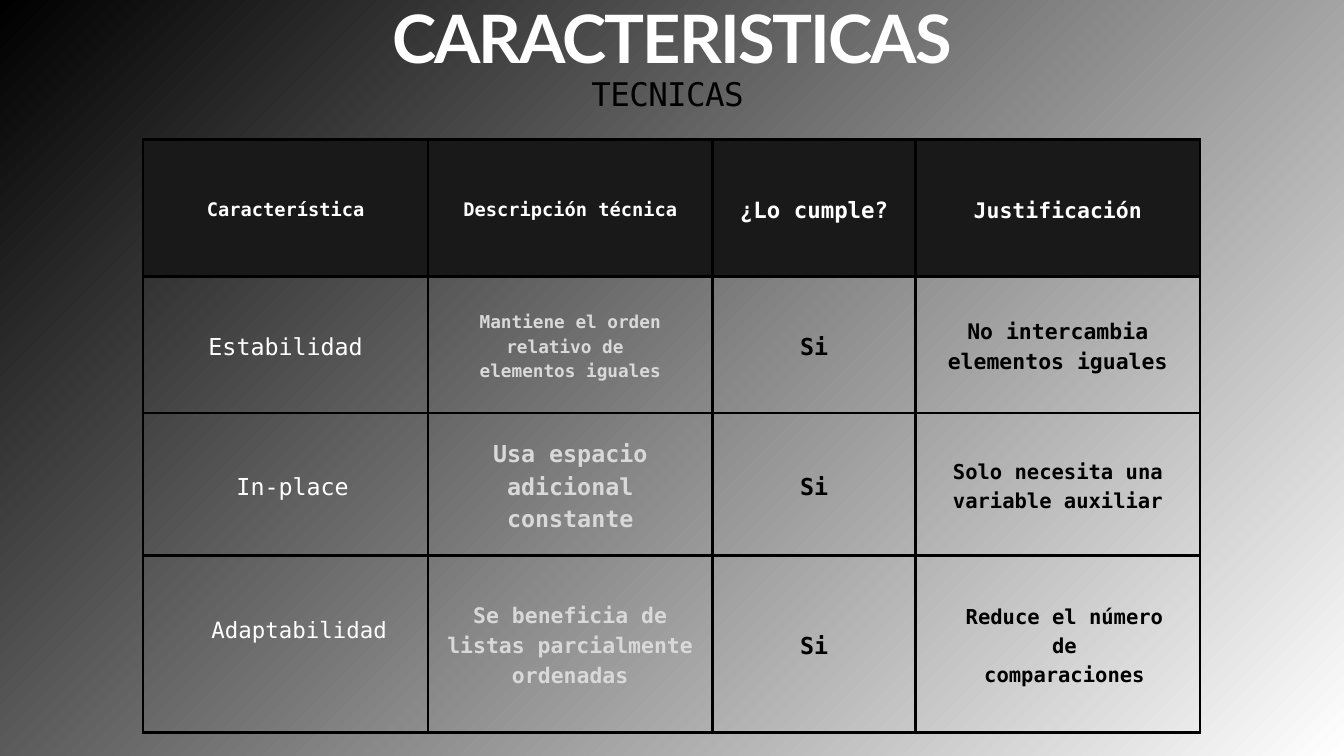
from dataclasses import dataclass

from lxml import etree
from pptx import Presentation
from pptx.dml.color import RGBColor
from pptx.enum import text
from pptx.oxml.ns import qn
from pptx.util import Pt


@dataclass(frozen=True)
class Theme:
    black: RGBColor = RGBColor(0x00, 0x00, 0x00)
    white: RGBColor = RGBColor(0xFF, 0xFF, 0xFF)
    pale: RGBColor = RGBColor(0xD9, 0xD9, 0xD9)
    header: RGBColor = RGBColor(0x19, 0x19, 0x19)
    mono: str = "DejaVu Sans Mono"
    display: str = "Lato"
    title_size: float = 71.5
    subtitle_size: float = 34.9
    header_sizes: tuple = (20, 20, 24, 23)
    body_sizes: tuple = ((25, 19, 25, 23), (25, 25, 25, 22), (24, 23, 25, 22))
    leading: float = 1.4
    border: float = 3
    inset: float = 15


theme = Theme()


def write(frame, content, font, size, color, bold, leading, tracking=0):
    """Fill a text frame with centred paragraphs in one format."""
    frame.text = content
    frame.word_wrap = True
    for paragraph in frame.paragraphs:
        paragraph.alignment = text.PP_ALIGN.CENTER
        paragraph.line_spacing = Pt(leading)
        for run in paragraph.runs:
            run.font.name = font
            run.font.size = Pt(size)
            run.font.bold = bold
            run.font.color.rgb = color
            if tracking:
                run.font._element.set("spc", str(round(tracking * 100)))


def draw_borders(cell):
    properties = cell._tc.get_or_add_tcPr()
    for position, side in enumerate(("lnL", "lnR", "lnT", "lnB")):
        line = etree.Element(qn(f"a:{side}"), w=str(Pt(theme.border)))
        fill = etree.SubElement(line, qn("a:solidFill"))
        etree.SubElement(fill, qn("a:srgbClr"), val=str(theme.black))
        properties.insert(position, line)


prs = Presentation()
prs.slide_width, prs.slide_height = Pt(1440), Pt(810)
slide = prs.slides.add_slide(prs.slide_layouts[5])

# Background: black at top left to white at bottom right
background = slide.background.fill
background.gradient()
background.gradient_angle = 315
for stop, color in zip(background.gradient_stops, (theme.black, theme.white)):
    stop.color.rgb = color
background.gradient_stops[0].position = 0
background.gradient_stops[1].position = 1

# Headings
title = slide.shapes.title
title.left, title.top, title.width, title.height = Pt(365), Pt(32.4), Pt(710), Pt(66)
subtitle = slide.shapes.add_textbox(Pt(365), Pt(87.8), Pt(700.6), Pt(37.4))
for heading in (title, subtitle):
    frame = heading.text_frame
    frame.margin_left = frame.margin_top = frame.margin_right = frame.margin_bottom = 0
    frame.vertical_anchor = text.MSO_ANCHOR.TOP
    frame.auto_size = text.MSO_AUTO_SIZE.NONE
write(title.text_frame, "CARACTERISTICAS", theme.display, theme.title_size,
      theme.white, True, 50.1, -2.1)
write(subtitle.text_frame, "TECNICAS", theme.mono, theme.subtitle_size,
      theme.black, False, 33.2, -0.7)

# Table of technical features
rows = [
    ("Característica", "Descripción técnica", "¿Lo cumple?", "Justificación"),
    ("Estabilidad", "Mantiene el orden relativo de \nelementos iguales", "Si",
     "No intercambia elementos iguales"),
    ("In-place", "Usa espacio adicional constante", "Si",
     "Solo necesita una variable auxiliar"),
    ("Adaptabilidad", "Se beneficia de listas parcialmente ordenadas", "Si",
     "Reduce el número de\ncomparaciones"),
]
sizes = (theme.header_sizes, *theme.body_sizes)
column_colors = (theme.white, theme.pale, theme.black, theme.black)
column_widths = (305, 305, 217.5, 305)
row_heights = (146.5, 146.5, 152.5, 189.5)

features = slide.shapes.add_table(
    len(rows), len(column_widths), Pt(153.5), Pt(149.7),
    Pt(sum(column_widths)), Pt(sum(row_heights))).table
features.first_row = features.horz_banding = False
for column, width in zip(features.columns, column_widths):
    column.width = Pt(width)
for row, height in zip(features.rows, row_heights):
    row.height = Pt(height)

for r, labels in enumerate(rows):
    is_header = r == 0
    for c, label in enumerate(labels):
        cell = features.cell(r, c)
        cell.margin_left = cell.margin_right = Pt(theme.inset)
        cell.margin_top = cell.margin_bottom = Pt(theme.inset)
        cell.vertical_anchor = text.MSO_ANCHOR.MIDDLE
        if is_header:
            cell.fill.solid()
            cell.fill.fore_color.rgb = theme.header
        else:
            cell.fill.background()
        draw_borders(cell)
        write(cell.text_frame, label, theme.mono, sizes[r][c],
              theme.white if is_header else column_colors[c],
              is_header or c > 0, sizes[r][c] * theme.leading)

# Cells whose text sits off centre
in_place, adaptability, comparisons = (
    features.cell(2, 0), features.cell(3, 0), features.cell(3, 3))
in_place.margin_left = Pt(30)
adaptability.margin_left = Pt(44)
adaptability.margin_bottom = Pt(48)
comparisons.margin_left, comparisons.margin_right = Pt(36), Pt(22)

prs.save("out.pptx")
